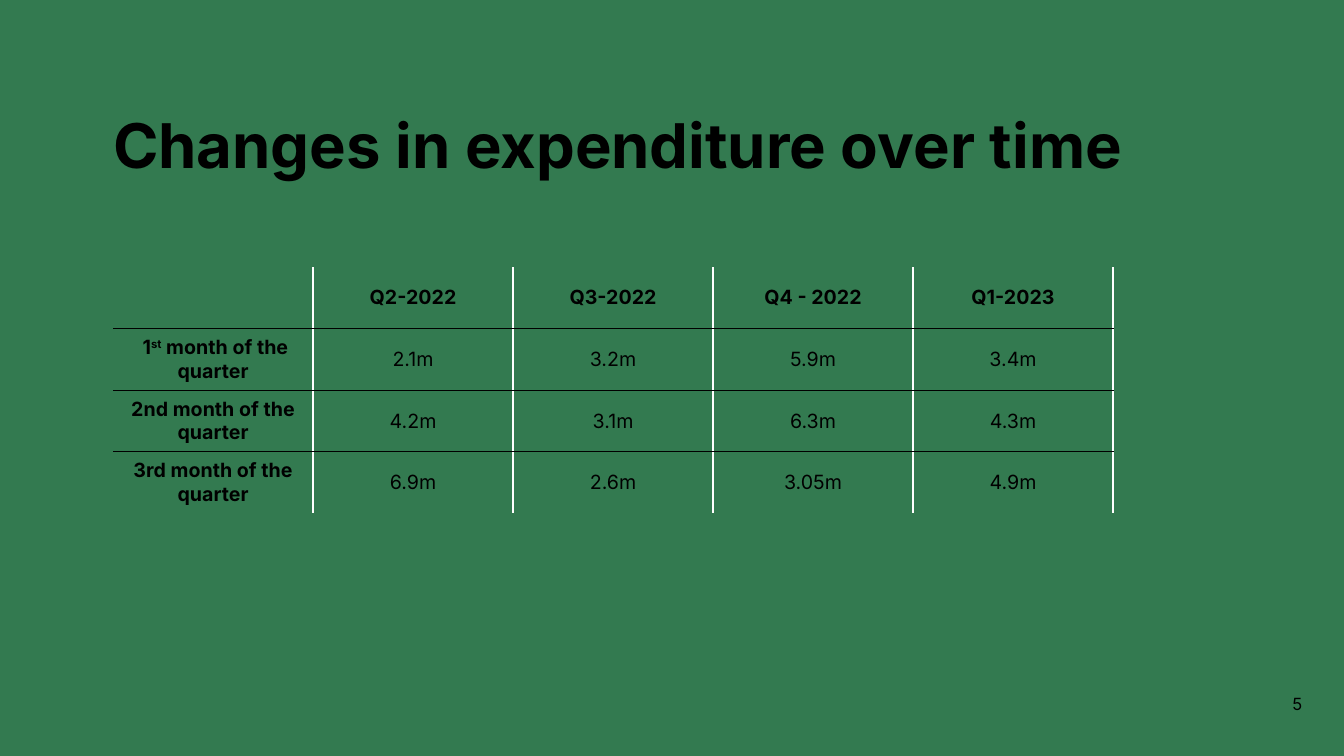
from lxml.etree import SubElement
from pptx import Presentation
from pptx.dml.color import RGBColor
from pptx.enum.text import MSO_ANCHOR as Anchor, PP_ALIGN as Align
from pptx.oxml.ns import qn
from pptx.util import Cm, Pt

COLORS = {"background": "337A50", "text": "000000", "row": "000000", "column": "FFFFFF"}
FONT = "Inter"
HEADER = ["", "Q2-2022", "Q3-2022", "Q4 - 2022", "Q1-2023"]
# A label given as a tuple holds text, superscript, text.
ROWS = [
    [(" 1", "st", " month of the quarter"), "2.1m", "3.2m", "5.9m", "3.4m"],
    [("2nd month of the quarter",), "4.2m", "3.1m", "6.3m", "4.3m"],
    [("3rd month of the quarter",), "6.9m", "2.6m", "3.05m", "4.9m"],
]


def rgb(name):
    return RGBColor.from_string(COLORS[name])


def style(p, size, bold=False, align=Align.LEFT):
    p.alignment = align
    p.font.name, p.font.size, p.font.bold = FONT, Pt(size), bold
    p.font.color.rgb = rgb("text")


def add_text(s, box, text, size, anchor, inset, bold=False, align=Align.LEFT):
    tf = s.shapes.add_textbox(*map(Cm, box)).text_frame
    tf.word_wrap = True
    tf.vertical_anchor = anchor
    tf.margin_left = tf.margin_right = Cm(inset)
    tf.margin_top = tf.margin_bottom = 0
    p = tf.paragraphs[0]
    p.text = text
    style(p, size, bold, align)
    return p


def add_title(s, box):
    p = add_text(s, box, "Changes in expenditure over time", 44, Anchor.BOTTOM, 0, bold=True)
    p.line_spacing = 0.9


def add_page_number(s, box):
    add_text(s, box, "5", 12, Anchor.MIDDLE, 0.25, align=Align.RIGHT)


def set_border(cell, side, color):
    """Draw one side (L, R, T or B) at 1 pt, or clear it when color is None."""
    ln = SubElement(cell._tc.get_or_add_tcPr(), qn(f"a:ln{side}"), w=str(Pt(1)))
    if color:
        fill = SubElement(ln, qn("a:solidFill"))
        SubElement(fill, qn("a:srgbClr"), val=COLORS[color])
    else:
        SubElement(ln, qn("a:noFill"))


def fill_cell(cell, parts, bold):
    cell.vertical_anchor = Anchor.MIDDLE
    p = cell.text_frame.paragraphs[0]
    for i, part in enumerate(parts):
        r = p.add_run()
        r.text = part
        if i == 1:
            r._r.get_or_add_rPr().set("baseline", "30000")
    style(p, 14, bold, Align.CENTER)


def add_expenditure_table(s, box):
    grid = [HEADER] + ROWS
    n_rows, n_cols = len(grid), len(HEADER)
    table = s.shapes.add_table(n_rows, n_cols, *map(Cm, box)).table
    table.first_row = table.horz_banding = False
    for i, row in enumerate(grid):
        for j, value in enumerate(row):
            cell = table.cell(i, j)
            parts = (value,) if isinstance(value, str) else value
            fill_cell(cell, parts, bold=i == 0 or j == 0)
            set_border(cell, "L", "column" if j else None)
            set_border(cell, "R", "column")
            set_border(cell, "T", "row" if i else None)
            set_border(cell, "B", "row" if i < n_rows - 1 else None)
            cell.fill.background()


def main():
    prs = Presentation()
    prs.slide_width, prs.slide_height = Cm(33.87), Cm(19.05)
    s = prs.slides.add_slide(prs.slide_layouts[6])
    s.background.fill.solid()
    s.background.fill.fore_color.rgb = rgb("background")
    add_title(s, (2.85, 2.77, 28.04, 1.8))
    add_expenditure_table(s, (2.85, 6.73, 25.2, 6.2))
    add_page_number(s, (31.93, 17.48, 1.14, 0.51))
    prs.save("out.pptx")


if __name__ == "__main__":
    main()
